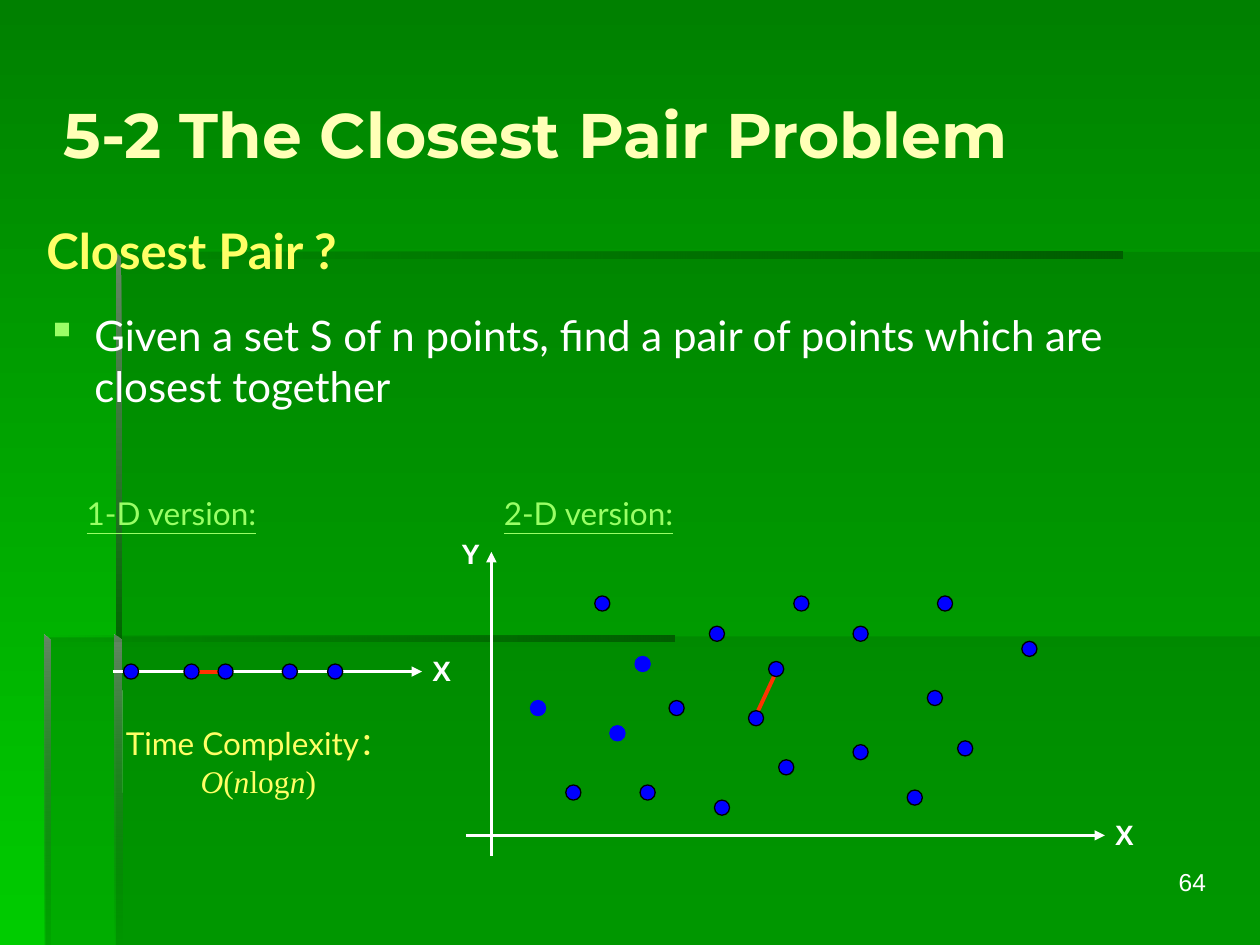
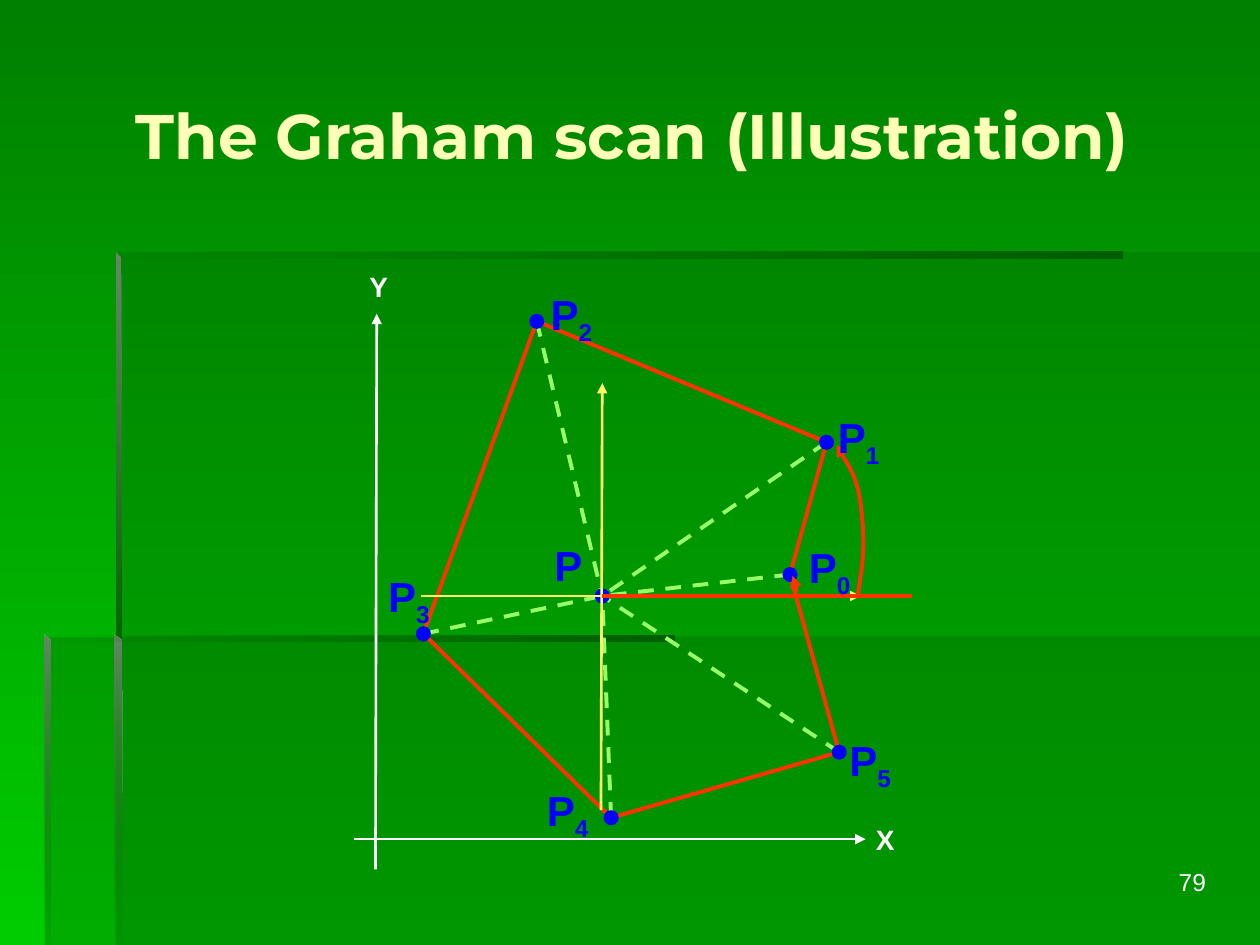
from dataclasses import dataclass

import pptx
import pptx.dml.color
import pptx.enum.dml
import pptx.enum.shapes
import pptx.enum.text
import pptx.oxml
import pptx.oxml.ns
import pptx.util

Inches = pptx.util.Inches
Align = pptx.enum.text.PP_ALIGN

COLOURS = {
    "top": "008000", "base": "00CC00", "band": "006600", "dark": "005E00",
    "pale": "668666", "title": "FFFFB7", "yellow": "FFFF66", "lime": "99FF66",
    "white": "FFFFFF", "red": "FF3300", "blue": "0000FF", "black": "000000",
}
DOT = 0.12  # dot diameter in inches


@dataclass
class Run:
    text: str
    font: str | None = None
    slant: bool = False
    drop: bool = False


@dataclass
class Band:
    points: list
    fill: tuple  # (colour, opacity) for each stop; one stop is a plain fill
    angle: int = 0


@dataclass
class Line:
    start: tuple
    end: tuple
    colour: str = "red"
    width: float = 2.25
    dashed: bool = False
    arrow: str = ""


BANDS = [
    Band([(0.92, 5.05), (0.92, 7.5), (10, 7.5), (10, 5.05)], (("band", 30),)),
    Band([(0.94, 5.06), (0.36, 5.06), (0.36, 7.5), (10, 7.5), (10, 2), (0.94, 2)],
         (("band", 30),)),
    Band([(0.92, 2), (0.92, 2.05), (8.91, 2.05), (8.91, 2)],
         (("band", 0), ("dark", 100))),
    Band([(0.92, 2), (0.92, 5.1), (0.97, 5.1), (0.96, 2.04)],
         (("pale", 100), ("band", 100)), 270),
    Band([(0.91, 7.5), (0.97, 7.5), (0.96, 5.08), (0.91, 5.04)],
         (("pale", 100), ("band", 0)), 270),
    Band([(0.35, 5.04), (0.35, 5.09), (5.35, 5.09), (5.35, 5.04)],
         (("band", 0), ("dark", 100))),
    Band([(0.35, 5.04), (0.35, 7.5), (0.4, 7.5), (0.4, 5.09)],
         (("pale", 100), ("band", 10)), 270),
]


def rgb(name: str) -> pptx.dml.color.RGBColor:
    return pptx.dml.color.RGBColor.from_string(COLOURS[name])


def add_xml(parent, tag: str, **attrs: str):
    child = pptx.oxml.parse_xml(f"<a:{tag} {pptx.oxml.ns.nsdecls('a')}/>")
    for key, value in attrs.items():
        child.set(key, value)
    parent.append(child)
    return child


def paint(fill, stops: tuple, angle: int = 0) -> None:
    """Fill with one colour or a two-stop gradient, each with its opacity."""
    if len(stops) == 1:
        fill.solid()
        fill.fore_color.rgb = rgb(stops[0][0])
    else:
        fill.gradient()
        fill.gradient_angle = angle
        for stop, (name, _) in zip(fill.gradient_stops, stops):
            stop.color.rgb = rgb(name)
    tags = fill._xPr.iter(pptx.oxml.ns.qn("a:srgbClr"))
    for tag, (_, alpha) in zip(list(tags), stops):
        if alpha < 100:
            add_xml(tag, "alpha", val=str(alpha * 1000))


def trace(slide, points: list, close: bool = True):
    spots = [(Inches(x), Inches(y)) for x, y in points]
    form = slide.shapes.build_freeform(*spots[0])
    form.add_line_segments(spots[1:], close=close)
    shape = form.convert_to_shape()
    shape.shadow.inherit = False
    return shape


def style(line, colour: str, width: float, arrow: str = "") -> None:
    line.color.rgb = rgb(colour)
    line.width = pptx.util.Pt(width)
    if arrow:
        add_xml(line._get_or_add_ln(), arrow, type="triangle")


def draw(slide, item: Line) -> None:
    ends = [Inches(v) for v in (*item.start, *item.end)]
    shape = slide.shapes.add_connector(pptx.enum.shapes.MSO_CONNECTOR.STRAIGHT, *ends)
    style(shape.line, item.colour, item.width)
    if item.dashed:
        shape.line.dash_style = pptx.enum.dml.MSO_LINE.DASH
    if item.arrow:
        add_xml(shape.line._get_or_add_ln(), item.arrow, type="triangle")
    add_xml(shape._element.spPr, "effectLst")


def curve(slide, start: tuple, *parts: tuple) -> None:
    """Trace cubic arcs that end in an arrowhead."""
    points = [start]
    for part in parts:
        knots = (points[-1], *part)
        for step in range(1, 11):
            t = step / 10
            mix = ((1 - t) ** 3, 3 * t * (1 - t) ** 2, 3 * t * t * (1 - t), t ** 3)
            points.append(tuple(sum(m * k[i] for m, k in zip(mix, knots))
                                for i in (0, 1)))
    shape = trace(slide, points, close=False)
    shape.fill.background()
    style(shape.line, "red", 2.25, "tailEnd")


def add_dot(slide, centre: tuple, edge: str = "") -> None:
    x, y = centre
    shape = slide.shapes.add_shape(
        pptx.enum.shapes.MSO_SHAPE.OVAL, Inches(x - DOT / 2), Inches(y - DOT / 2),
        Inches(DOT), Inches(DOT))
    shape.shadow.inherit = False
    paint(shape.fill, (("blue", 100),))
    if edge:
        style(shape.line, edge, 0)
    else:
        shape.line.fill.background()


def write(slide, box: tuple, text: str | list[Run], *, size: int, colour: str,
          font: str = "Lato", bold: bool = False, under: bool = False,
          align=Align.LEFT, wrap: bool = True, middle: bool = False,
          inset: bool = True, bullet: str = "") -> None:
    frame = slide.shapes.add_textbox(*map(Inches, box)).text_frame
    frame.word_wrap = wrap
    if middle:
        frame.vertical_anchor = pptx.enum.text.MSO_ANCHOR.MIDDLE
    if not inset:
        frame.margin_left = frame.margin_right = 0
        frame.margin_top = frame.margin_bottom = 0
    para = frame.paragraphs[0]
    para.alignment = align
    if bullet:
        props = para._p.get_or_add_pPr()
        props.set("marL", str(Inches(0.38)))
        props.set("indent", str(Inches(-0.38)))
        add_xml(add_xml(props, "buClr"), "srgbClr", val=COLOURS["lime"])
        add_xml(props, "buChar", char=bullet)
    for part in [Run(text)] if isinstance(text, str) else text:
        run = para.add_run()
        run.text = part.text
        run.font.name = part.font or font
        run.font.size = pptx.util.Pt(size)
        run.font.color.rgb = rgb(colour)
        run.font.bold = bold
        run.font.italic = part.slant
        run.font.underline = under
        if part.drop:
            run._r.get_or_add_rPr().set("baseline", "-25000")


def label(slide, left: float, top: float, name: str) -> None:
    """Name an axis."""
    write(slide, (left, top, 0.15, 0.27), name, size=16, colour="white",
          font="Arial", bold=True, align=Align.CENTER, wrap=False, inset=False)


def tag(slide, left: float, top: float, sub: str = "") -> None:
    """Name a point, with its index lowered."""
    runs = [Run("P")] + ([Run(sub, drop=True)] if sub else [])
    write(slide, (left, top, 0.35 if sub else 0.22, 0.4), runs, size=24,
          colour="blue", font="Arial", bold=True, align=Align.CENTER, wrap=False,
          inset=False)


def add_slide(deck, title: str, number: str, align, left: float, top: float):
    slide = deck.slides.add_slide(deck.slide_layouts[6])
    paint(slide.background.fill, (("top", 100), ("base", 100)), 270)
    for band in BANDS:
        shape = trace(slide, band.points)
        paint(shape.fill, band.fill, band.angle)
        shape.line.fill.background()
    write(slide, (7.59, 6.83, 2.08, 0.52), number, size=14, colour="white",
          font="Arial", align=Align.RIGHT)
    write(slide, (left, top, 9.17, 1.57), title, size=36, colour="title",
          font="Montserrat", bold=True, align=align, middle=True)
    return slide


def axis(start: tuple, end: tuple, arrow: str, colour: str = "white") -> Line:
    return Line(start, end, colour, 1.5, arrow=arrow)


def show_pair(deck) -> None:
    slide = add_slide(deck, "5-2 The Closest Pair Problem", "64", Align.LEFT, 0.41, 0.27)
    write(slide, (0.27, 1.7, 6.42, 0.57), "Closest Pair ?", size=28,
          colour="yellow", bold=True)
    write(slide, (0.27, 2.41, 9.4, 0.63),
          "Given a set S of n points, find a pair of points which are closest together",
          size=24, colour="white", bullet="▪")
    for left, name in ((0.59, "1-D version:"), (3.9, "2-D version:")):
        write(slide, (left, 3.87, 1.56, 0.4), name, size=18, colour="lime",
              under=True, wrap=False)

    # Points on a line
    draw(slide, axis((0.9, 5.33), (3.35, 5.33), "tailEnd"))
    label(slide, 3.43, 5.19, "X")
    draw(slide, Line((1.54, 5.33), (1.77, 5.33)))
    for x in (1.04, 1.52, 1.79, 2.3, 2.66):
        add_dot(slide, (x, 5.33), "black")
    roman = "Times New Roman"
    write(slide, (0.55, 5.7, 3, 0.4),
          [Run("Time Complexity："), Run("O", roman, True), Run("(", roman),
           Run("n", roman, True), Run("log", roman), Run("n", roman, True),
           Run(")", roman)], size=18, colour="yellow", align=Align.CENTER)

    # Points in a plane
    draw(slide, Line((6.18, 5.29), (5.98, 5.72)))
    draw(slide, axis((3.9, 4.38), (3.9, 6.79), "headEnd"))
    draw(slide, axis((3.7, 6.63), (8.77, 6.63), "tailEnd"))
    label(slide, 8.85, 6.49, "X")
    label(slide, 3.66, 4.26, "Y")
    for spot in ((4.9, 5.82), (4.27, 5.62), (5.1, 5.27)):
        add_dot(slide, spot, "blue")
    for spot in ((4.55, 6.29), (4.78, 4.79), (5.14, 6.29), (5.73, 6.41),
                 (6.24, 6.09), (5.69, 5.03), (6.36, 4.79), (5.37, 5.62),
                 (6, 5.7), (6.16, 5.31), (6.83, 5.97), (7.26, 6.33),
                 (7.66, 5.94), (7.42, 5.54), (6.83, 5.03), (7.5, 4.79),
                 (8.17, 5.15)):
        add_dot(slide, spot, "black")


def show_scan(deck) -> None:
    slide = add_slide(deck, "The Graham scan (Illustration)", "79", Align.CENTER,
                      0.43, 0.28)
    centre = (4.78, 4.73)
    hull = [(6.27, 4.56), (6.56, 3.51), (4.26, 2.55), (3.36, 5.03), (4.85, 6.49),
            (6.66, 5.97)]

    # Hull, rays and outer axes
    for start, end in zip(hull, hull[1:] + hull[:1]):
        draw(slide, Line(start, end))
    for spot in hull:
        draw(slide, Line(spot, centre, "lime", dashed=True))
    draw(slide, axis((2.99, 2.49), (2.98, 6.9), "headEnd"))
    label(slide, 2.93, 2.14, "Y")
    draw(slide, axis((2.81, 6.66), (6.87, 6.66), "tailEnd"))
    label(slide, 6.95, 6.53, "X")
    for spot in [*hull, centre]:
        add_dot(slide, spot)

    # Inner axes and angles
    tag(slide, 4.4, 4.28)
    draw(slide, axis((3.34, 4.73), (6.83, 4.73), "tailEnd", "yellow"))
    draw(slide, axis((4.78, 3.04), (4.77, 6.43), "headEnd", "yellow"))
    draw(slide, Line(centre, (7.24, 4.73)))
    curve(slide, (6.3, 4.74), ((6.3, 4.73), (6.32, 4.7), (6.32, 4.67)),
          ((6.31, 4.64), (6.3, 4.59), (6.29, 4.57)))
    curve(slide, (6.81, 4.73), ((6.81, 4.63), (6.88, 4.45), (6.84, 4.08)),
          ((6.81, 3.71), (6.68, 3.65), (6.64, 3.53)))
    corners = ((6.41, 4.3), (6.64, 3.27), (4.36, 2.29), (3.07, 4.53), (4.33, 6.23),
               (6.73, 5.83))
    for index, corner in enumerate(corners):
        tag(slide, *corner, str(index))


def main() -> None:
    deck = pptx.Presentation()
    deck.slide_width, deck.slide_height = Inches(10), Inches(7.5)
    show_pair(deck)
    show_scan(deck)
    deck.save("out.pptx")


if __name__ == "__main__":
    main()
